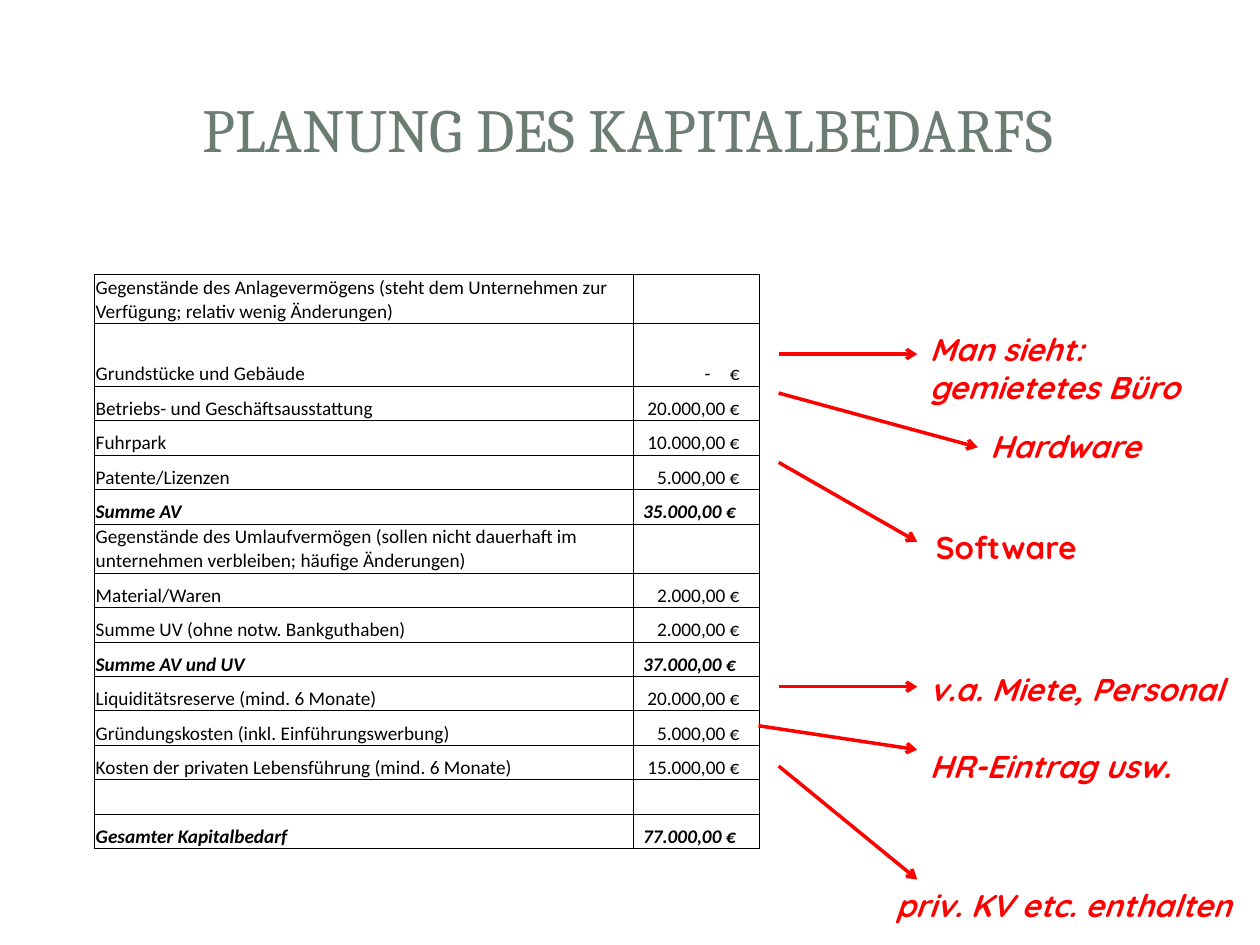
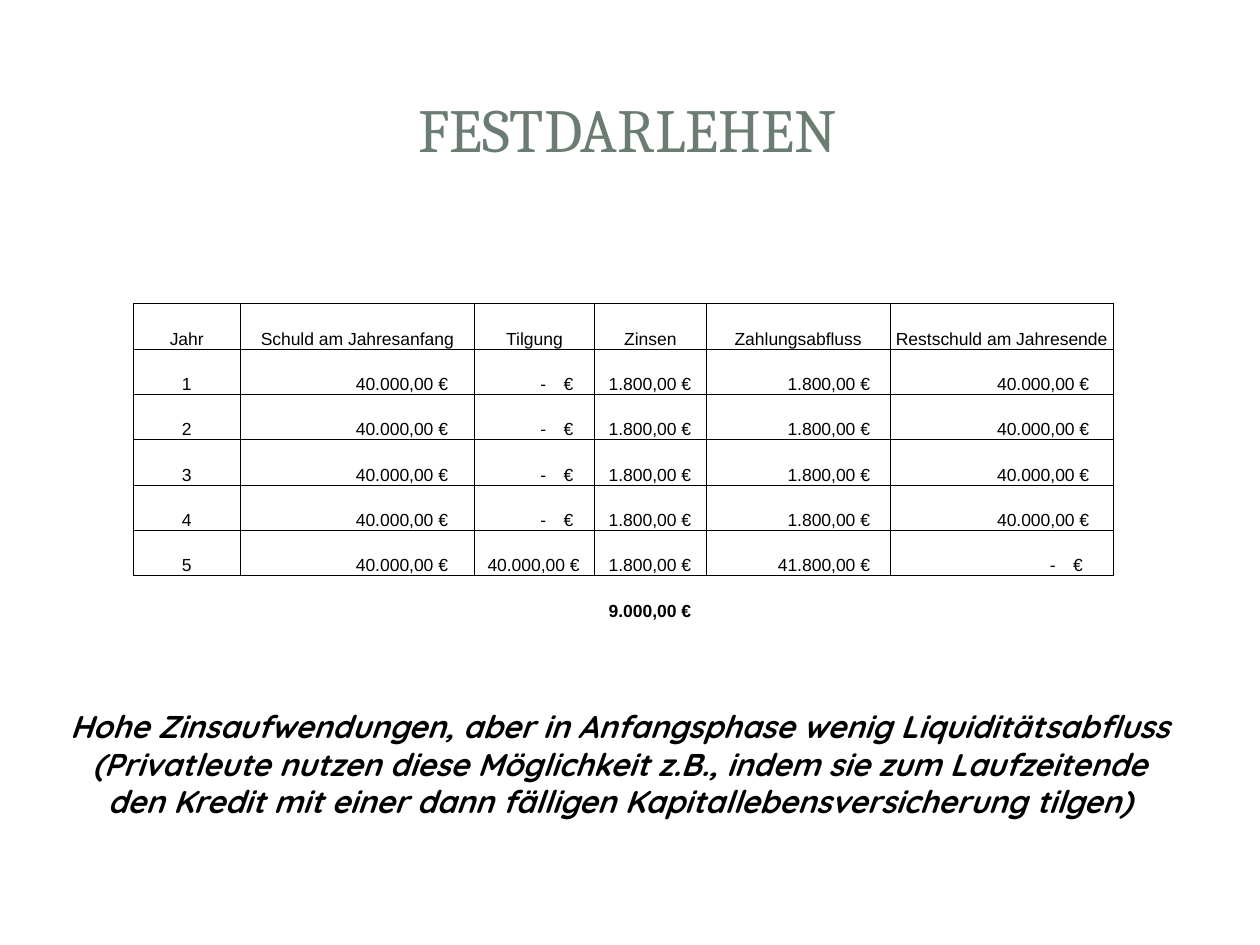
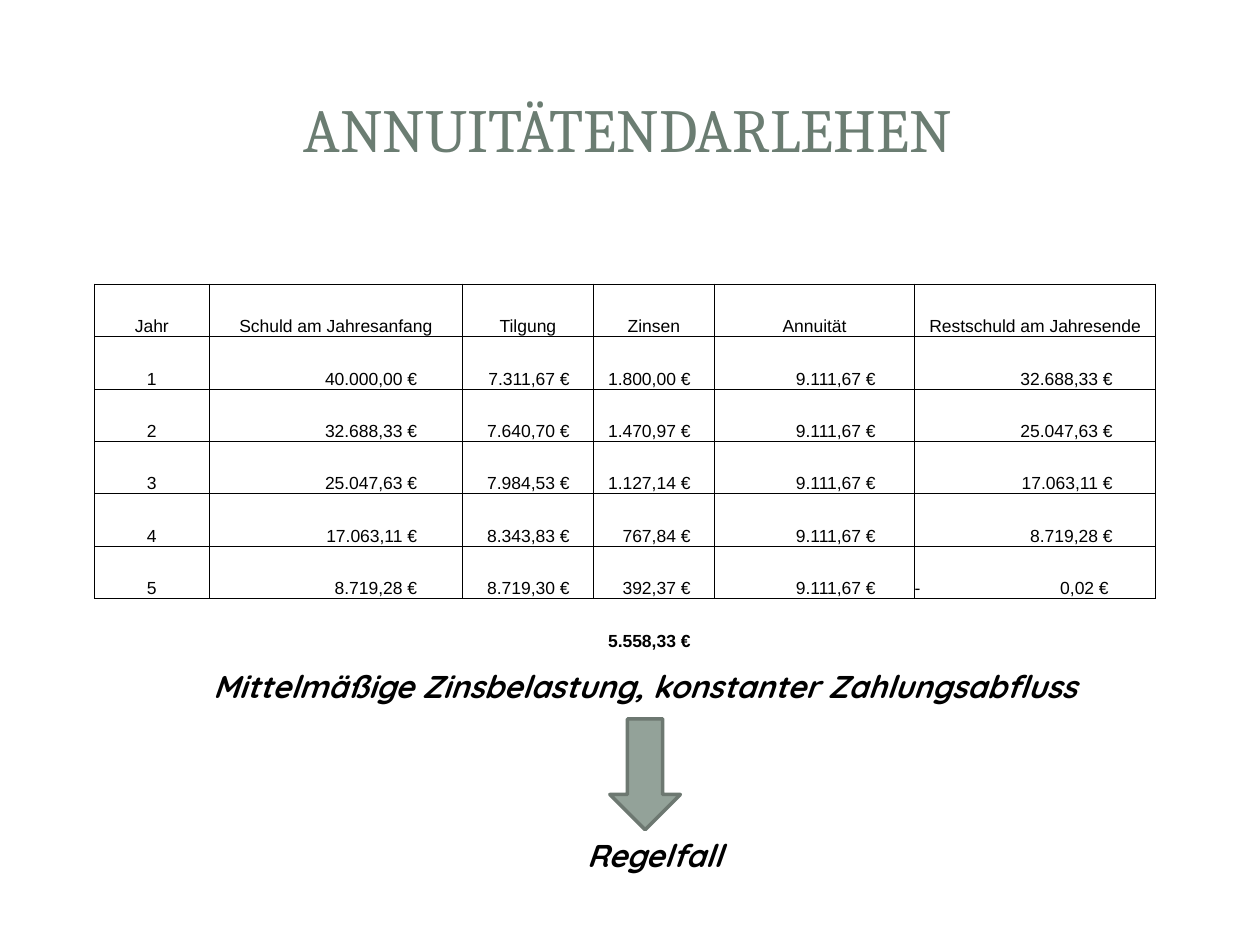
from lxml.etree import SubElement
from pptx import Presentation
from pptx.dml.color import RGBColor
from pptx.enum.shapes import MSO_CONNECTOR, MSO_SHAPE
from pptx.enum.text import MSO_ANCHOR, MSO_AUTO_SIZE, PP_ALIGN
from pptx.oxml.ns import qn
from pptx.util import Inches, Pt

COLS, ROWS = 100, 75
NO_STYLE = "{2D5ABB26-0587-4C30-8999-92F81FD0307C}"
LEFT, CENTER, RIGHT = PP_ALIGN.LEFT, PP_ALIGN.CENTER, PP_ALIGN.RIGHT
DASH = "-\u2003€"


def rgb(color):
    return RGBColor.from_string(color)


class Deck:
    TITLE, INK, RED, PAPER = "6B7D72", "000000", "FF0000", "FFFFFF"
    SAGE, SAGE_DARK = "93A299", "6D7871"
    HEAD_FONT, NOTE_FONT = "Cambria", "Quicksand"

    def __init__(self):
        self.prs = Presentation()
        self.prs.slide_width, self.prs.slide_height = Inches(10), Inches(7.5)
        self.s = None

    def x(self, cols):
        return round(self.prs.slide_width * cols / COLS)

    def y(self, rows):
        return round(self.prs.slide_height * rows / ROWS)

    def box(self, left, top, width, height):
        return self.x(left), self.y(top), self.x(width), self.y(height)

    def slide(self, title):
        self.s = self.prs.slides.add_slide(self.prs.slide_layouts[6])
        card = self.shape(MSO_SHAPE.ROUNDED_RECTANGLE, (1, 1.1, 98, 72.9), self.PAPER)
        card.adjustments[0] = 0.017
        band = self.shape(MSO_SHAPE.RECTANGLE, (3, 3, 94, 14.5), self.PAPER)
        color = band.fill._xPr.find(qn("a:solidFill"))[0]
        SubElement(color, qn("a:alpha"), val="83000")
        self.shape(MSO_SHAPE.RECTANGLE, (4.1, 4.1, 91.7, 12.2), self.PAPER)
        tf = self.s.shapes.add_textbox(*self.box(4.7, 4.5, 90.3, 11.4)).text_frame
        tf.word_wrap = True
        tf.vertical_anchor = MSO_ANCHOR.MIDDLE
        self.run(tf, title, self.HEAD_FONT, 35, self.TITLE, CENTER)

    def shape(self, kind, at, fill, line=None):
        sp = self.s.shapes.add_shape(kind, *self.box(*at))
        sp.shadow.inherit = False
        sp.fill.solid()
        sp.fill.fore_color.rgb = rgb(fill)
        if line:
            sp.line.color.rgb = rgb(line)
            sp.line.width = Pt(2)
        else:
            sp.line.fill.background()
        return sp

    def run(self, tf, text, font, size, color, align=LEFT, bold=False, italic=False):
        p = tf.paragraphs[0]
        p.alignment = align
        r = p.add_run()
        r.text = text
        r.font.name, r.font.size = font, Pt(size)
        r.font.bold, r.font.italic = bold, italic
        r.font.color.rgb = rgb(color)

    def note(self, text, at, color=INK, align=CENTER, italic=True):
        tf = self.s.shapes.add_textbox(*self.box(*at)).text_frame
        tf.word_wrap = True
        tf.auto_size = MSO_AUTO_SIZE.SHAPE_TO_FIT_TEXT
        self.run(tf, text, self.NOTE_FONT, 18, color, align, True, italic)

    def arrow(self, x1, y1, x2, y2):
        c = self.s.shapes.add_connector(
            MSO_CONNECTOR.STRAIGHT, self.x(x1), self.y(y1), self.x(x2), self.y(y2))
        c.line.color.rgb = rgb(self.RED)
        c.line.width = Pt(2)
        SubElement(c.line._get_or_add_ln(), qn("a:tailEnd"), type="arrow")
        SubElement(c._element.spPr, qn("a:effectLst"))

    def table(self, left, top, widths, heights):
        frame = self.s.shapes.add_table(
            len(heights), len(widths), *self.box(left, top, sum(widths), sum(heights)))
        table = frame.table
        table.first_row = table.horz_banding = False
        table._tbl.tblPr.find(qn("a:tableStyleId")).text = NO_STYLE
        for col, width in zip(table.columns, widths):
            col.width = self.x(width)
        for row, height in zip(table.rows, heights):
            row.height = self.y(height)
        return table

    def cell(self, cell, text, font, size, align=LEFT, bold=False, italic=False,
             margin=0, pad=0, sides="LRTB"):
        cell.vertical_anchor = MSO_ANCHOR.BOTTOM
        cell.margin_left = cell.margin_top = Inches(margin)
        cell.margin_right = Inches(pad if align == RIGHT else margin)
        cell.margin_bottom = 0
        tc_pr = cell._tc.get_or_add_tcPr()
        for side in sides:
            ln = SubElement(tc_pr, qn(f"a:ln{side}"), w=str(Pt(0.5)))
            fill = SubElement(ln, qn("a:solidFill"))
            SubElement(fill, qn("a:srgbClr"), val=self.INK)
        cell.fill.background()
        tf = cell.text_frame
        if text:
            self.run(tf, text, font, size, self.INK, align, bold, italic)
        else:
            SubElement(tf.paragraphs[0]._p, qn("a:endParaRPr"), sz=str(size * 100))

    def tab_stop(self, cell, position):
        p_pr = cell.text_frame.paragraphs[0]._p.get_or_add_pPr()
        tabs = SubElement(p_pr, qn("a:tabLst"))
        SubElement(tabs, qn("a:tab"), pos=str(Inches(position)), algn="r")

    def capital_table(self, items):
        heights = [3.89 if label.startswith("Gegenstände") else 2.74 for label, _ in items]
        heights[1] = 4.95
        table = self.table(7.5, 21.8, [42.8, 10], heights)
        for i, (label, amount) in enumerate(items):
            strong = label.startswith(("Summe AV", "Gesamter"))
            for j, text in enumerate((label, amount)):
                self.cell(table.cell(i, j), text, "Calibri", 11, RIGHT if j else LEFT,
                          strong, strong, margin=0.01, pad=0.19 if strong else 0.16)

    def loan_table(self, left, top, widths, height, pads, payment, years, total):
        header = ["Jahr", "Schuld am Jahresanfang", "Tilgung", "Zinsen",
                  payment, "Restschuld am Jahresende"]
        body = [[str(n), *values] for n, values in enumerate(years, 1)]
        rows = [header, *body, ["", "", "", total, "", ""]]
        table = self.table(left, top, widths, [height] * len(rows))
        last = len(rows) - 1
        for i, row in enumerate(rows):
            for j, text in enumerate(row):
                align = CENTER if i == 0 or j == 0 else LEFT if "\t" in text else RIGHT
                pad = pads[j] + (0.05 if text == DASH else 0)
                self.cell(table.cell(i, j), text, "Arial", 10, align, i == last,
                          pad=pad, sides="T" if i == last else "LRTB")
                if "\t" in text:
                    self.tab_stop(table.cell(i, j), widths[j] / 10 - pad - 0.03)


deck = Deck()

deck.slide("PLANUNG DES KAPITALBEDARFS")
deck.capital_table([
    ("Gegenstände des Anlagevermögens (steht dem Unternehmen zur Verfügung; "
     "relativ wenig Änderungen)", ""),
    ("Grundstücke und Gebäude", DASH),
    ("Betriebs- und Geschäftsausstattung", "20.000,00 €"),
    ("Fuhrpark", "10.000,00 €"),
    ("Patente/Lizenzen", "5.000,00 €"),
    ("Summe AV", "35.000,00 €"),
    ("Gegenstände des Umlaufvermögen (sollen nicht dauerhaft im unternehmen "
     "verbleiben; häufige Änderungen)", ""),
    ("Material/Waren", "2.000,00 €"),
    ("Summe UV (ohne notw. Bankguthaben)", "2.000,00 €"),
    ("Summe AV und UV", "37.000,00 €"),
    ("Liquiditätsreserve (mind. 6 Monate)", "20.000,00 €"),
    ("Gründungskosten (inkl. Einführungswerbung)", "5.000,00 €"),
    ("Kosten der privaten Lebensführung (mind. 6 Monate)", "15.000,00 €"),
    ("", ""),
    ("Gesamter Kapitalbedarf", "77.000,00 €"),
])
for ends in [(61.8, 28.1, 72.8, 28.1), (61.8, 54.5, 72.8, 54.5),
             (60.2, 57.6, 72.8, 59.5), (61.8, 60.8, 72.8, 69.8),
             (61.8, 36.7, 72.8, 43), (61.8, 31.2, 77.6, 35.5)]:
    deck.arrow(*ends)
for text, at in [("Man sieht: gemietetes Büro", (72.8, 25.7, 25.2, 7.1)),
                 ("v.a. Miete, Personal", (72.8, 52.7, 27.2, 4)),
                 ("HR-Eintrag usw.", (72.8, 58.8, 25.2, 4)),
                 ("priv. KV etc. enthalten", (70.1, 69.8, 29.9, 4)),
                 ("Hardware", (77.6, 33.4, 20.5, 4)),
                 ("Software", (73.3, 41.4, 24.7, 4))]:
    deck.note(text, at, deck.RED, LEFT, italic=text != "Software")

deck.slide("FESTDARLEHEN")
debt, interest = "40.000,00 €", "1.800,00 €"
deck.loan_table(
    10.6, 24.1, [8.45, 18.6, 9.55, 8.85, 14.6, 17.7], 3.6,
    [0, 0.21, 0.12, 0.12, 0.16, 0.19], "Zahlungsabfluss",
    [(debt, DASH, interest, interest, debt)] * 4
    + [(debt, debt, interest, "41.800,00 €", DASH)], "9.000,00 €")
deck.note("Hohe Zinsaufwendungen, aber in Anfangsphase wenig Liquiditätsabfluss "
          "(Privatleute nutzen diese Möglichkeit z.B., indem sie zum Laufzeitende "
          "den Kredit mit einer dann fälligen Kapitallebensversicherung tilgen)",
          (4.3, 55.6, 89.8, 10.1))

deck.slide("ANNUITÄTENDARLEHEN")
debts = ["40.000,00 €", "32.688,33 €", "25.047,63 €", "17.063,11 €", "8.719,28 €",
         "-\t0,02 €"]
repayments = ["7.311,67 €", "7.640,70 €", "7.984,53 €", "8.343,83 €", "8.719,30 €"]
interests = ["1.800,00 €", "1.470,97 €", "1.127,14 €", "767,84 €", "392,37 €"]
deck.loan_table(
    7.5, 22.55, [9.1, 20.1, 10.4, 9.6, 15.9, 19.1], 4.16,
    [0, 0.36, 0.19, 0.19, 0.31, 0.34], "Annuität",
    list(zip(debts, repayments, interests, ["9.111,67 €"] * 5, debts[1:])), "5.558,33 €")
deck.note("Mittelmäßige Zinsbelastung, konstanter Zahlungsabfluss", (5.9, 52.45, 90.6, 4))
deck.shape(MSO_SHAPE.DOWN_ARROW, (48.4, 57.05, 5.6, 8.8), deck.SAGE, deck.SAGE_DARK)
deck.note("Regelfall", (16.1, 65.85, 71.7, 4))

deck.prs.save("out.pptx")
